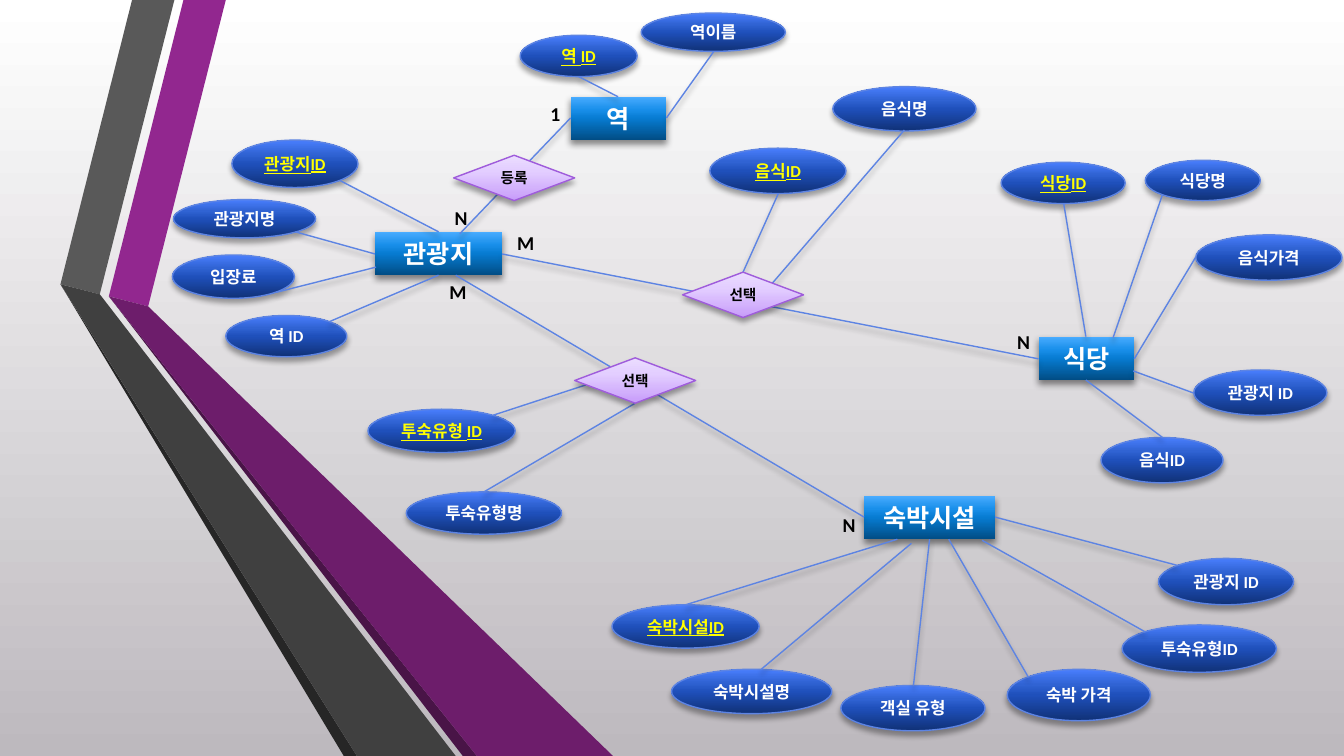
from lxml import etree
from pptx import Presentation
from pptx.dml.color import RGBColor
from pptx.enum.shapes import MSO_CONNECTOR, MSO_SHAPE
from pptx.enum.text import MSO_ANCHOR, MSO_AUTO_SIZE, PP_ALIGN
from pptx.oxml.ns import qn
from pptx.util import Cm, Pt

STRAIGHT = MSO_CONNECTOR.STRAIGHT
ELLIPSE, RECTANGLE, DIAMOND = MSO_SHAPE.OVAL, MSO_SHAPE.RECTANGLE, MSO_SHAPE.DIAMOND
MIDDLE, CENTER, GROW = MSO_ANCHOR.MIDDLE, PP_ALIGN.CENTER, MSO_AUTO_SIZE.SHAPE_TO_FIT_TEXT

WHITE, BLACK = RGBColor(255, 255, 255), RGBColor(0, 0, 0)
YELLOW = RGBColor(255, 255, 0)
LINE_BLUE, LINE_PURPLE = RGBColor(0x5D, 0x84, 0xE3), RGBColor(0x9F, 0x5C, 0xDB)
MAGENTA, GRAY = RGBColor(0x92, 0x27, 0x8F), RGBColor(0x59, 0x59, 0x59)
NEAR_BLACK, DARK_GRAY = RGBColor(0x26, 0x26, 0x26), RGBColor(0x40, 0x40, 0x40)
DEEP_PLUM, PLUM = RGBColor(0x49, 0x14, 0x47), RGBColor(0x6D, 0x1D, 0x6B)

# Gradient stops: position in percent, colour
PAGE_STOPS = [(0, WHITE), (100, RGBColor(0xBD, 0xB9, 0xBE))]
ATTRIBUTE_STOPS = [(0, RGBColor(0x10, 0x31, 0x77)), (50, RGBColor(0x1F, 0x50, 0xBB)),
                   (70, RGBColor(0x30, 0x63, 0xD3)), (100, RGBColor(0x49, 0x7E, 0xFD))]
ENTITY_STOPS = [(0, RGBColor(0x01, 0x4D, 0x85)), (50, RGBColor(0x07, 0x7B, 0xD1)),
                (70, RGBColor(0x19, 0x8F, 0xEA)), (100, RGBColor(0x49, 0xAC, 0xFF))]
RELATION_STOPS = [(0, RGBColor(0xC7, 0x9C, 0xFA)), (65, RGBColor(0xE3, 0xCE, 0xFF)),
                  (100, RGBColor(0xEB, 0xDD, 0xFF))]

# All places below are in units of 2.54 cm
UNIT = 2.54
PAGE_WIDTH, PAGE_HEIGHT = 13.33, 7.5
ENTITY_HEIGHT, LABEL_HEIGHT = 0.43, 0.34
RELATION_SIZE = (1.2, 0.45)
LABEL_WIDTHS = {"1": 0.3, "N": 0.33, "M": 0.37}

RIBBONS = [
    (MAGENTA, [(1.08, 2.94), (1.47, 3.04), (2.24, 0), (1.82, 0)]),
    (GRAY, [(0.99, 2.92), (1.73, 0), (1.31, 0), (0.6, 2.82)]),
    (NEAR_BLACK, [(0.6, 2.82), (3.41, 7.5), (3.54, 7.5)]),
    (DEEP_PLUM, [(4.73, 7.5), (1.08, 2.94), (4.59, 7.5)]),
    (PLUM, [(1.08, 2.94), (4.73, 7.5), (6.08, 7.5), (1.47, 3.04)]),
    (DARK_GRAY, [(4.52, 7.5), (1.06, 3.01), (0.99, 2.92), (0.6, 2.82), (3.54, 7.5)]),
]
ENTITIES = [("관광지", 3.72, 2.3, 1.26), ("역", 5.66, 0.96, 0.95),
            ("식당", 10.3, 3.34, 0.95), ("숙박시설", 8.57, 4.92, 1.3)]
KEY_ATTRIBUTES = [
    ("역 ID", 5.16, 0.35, 1.16, 0.41), ("관광지ID", 2.3, 1.39, 1.25, 0.47),
    ("음식ID", 7.04, 1.47, 1.35, 0.45), ("식당ID", 9.93, 1.61, 1.23, 0.41),
    ("투숙유형 ID", 3.65, 4.06, 1.46, 0.43), ("숙박시설ID", 6.07, 6, 1.46, 0.43),
]
ATTRIBUTES = [
    ("역이름", 6.36, 0.13, 1.43, 0.38), ("관광지명", 1.72, 1.98, 1.41, 0.38),
    ("입장료", 1.71, 2.53, 1.21, 0.43), ("역 ID", 2.24, 3.13, 1.2, 0.41),
    ("투숙유형명", 4.03, 4.88, 1.54, 0.42), ("식당명", 11.36, 1.59, 1.14, 0.4),
    ("음식가격", 11.86, 2.33, 1.45, 0.45), ("숙박시설명", 6.66, 6.64, 1.59, 0.44),
    ("관광지 ID", 11.49, 5.54, 1.34, 0.46), ("숙박 가격", 9.99, 6.64, 1.42, 0.51),
    ("투숙유형ID", 11.13, 6.2, 1.53, 0.47), ("음식ID", 10.92, 4.34, 1.21, 0.45),
    ("음식명", 8.26, 0.86, 1.42, 0.44), ("관광지 ID", 11.84, 3.67, 1.32, 0.45),
    ("객실 유형", 8.34, 6.8, 1.43, 0.45),
]
RELATIONS = [("등록", 4.5, 1.54), ("선택", 6.77, 2.7), ("선택", 5.7, 3.55)]
LABELS = [("1", 5.36, 0.96), ("N", 4.41, 1.99), ("M", 4.36, 2.73),
          ("N", 8.26, 5.04), ("M", 5.03, 2.24), ("N", 9.99, 3.22)]
LINKS = [
    # station
    (5.74, 0.76, 6.13, 0.96), (7.08, 0.51, 6.61, 1.17),
    # tourist site
    (3.37, 1.79, 4.35, 2.3), (2.93, 2.3, 3.72, 2.52),
    (2.74, 2.9, 3.73, 2.65), (3.27, 3.19, 4.35, 2.73),
    # restaurant
    (10.77, 3.34, 10.55, 2.02), (11.04, 3.35, 11.53, 1.93), (11.24, 3.68, 11.84, 3.9),
    (10.77, 3.77, 11.53, 4.34), (11.25, 3.56, 11.86, 2.55),
    # lodging
    (8.9, 5.35, 6.8, 6), (9.04, 5.39, 7.55, 6.64), (9.87, 5.13, 11.68, 5.61),
    (9.74, 5.36, 11.36, 6.27), (9.41, 5.35, 10.2, 6.72), (9.22, 5.35, 9.06, 6.8),
    # attributes of the relations
    (7.37, 2.7, 7.72, 1.92), (7.66, 2.81, 8.97, 1.29),
    (6.42, 3.62, 4.89, 4.12), (6.3, 4, 4.8, 4.88),
    # between entities
    (5.66, 1.17, 4.56, 2.32), (10.3, 3.56, 4.98, 2.52), (8.57, 5.13, 4.52, 2.73),
]

SOFT_SHADOW, STRONG_SHADOW = (35, 4), (45, 5)  # opacity in percent, blur in points
ATTRIBUTE = dict(kind=ELLIPSE, stops=ATTRIBUTE_STOPS, line=LINE_BLUE, shadow=SOFT_SHADOW,
                 font=dict(size=Pt(12)), color=WHITE)
KEY_ATTRIBUTE = dict(ATTRIBUTE, font=dict(size=Pt(12), underline=True), color=YELLOW)
ENTITY = dict(kind=RECTANGLE, stops=ENTITY_STOPS, line=None, shadow=STRONG_SHADOW,
              font=dict(size=Pt(18)), color=WHITE)
RELATION = dict(kind=DIAMOND, stops=RELATION_STOPS, line=LINE_PURPLE, shadow=SOFT_SHADOW,
                font=dict(size=Pt(10.5)), color=BLACK)


def lengths(*values):
    return [Cm(value * UNIT) for value in values]


def paint_gradient(fill, element, stops, angle):
    fill.gradient()
    fill.gradient_angle = angle
    stop_list = next(element.iter(qn("a:gsLst")))
    for old_stop in list(stop_list):
        stop_list.remove(old_stop)
    for position, color in stops:
        stop = etree.SubElement(stop_list, qn("a:gs"), pos=str(position * 1000))
        etree.SubElement(stop, qn("a:srgbClr"), val=str(color))


def add_shadow(shape, opacity, blur):
    effects = etree.SubElement(shape._element.spPr, qn("a:effectLst"))
    outer = etree.SubElement(effects, qn("a:outerShdw"), blurRad=str(Pt(blur)),
                             dist=str(Pt(3)), dir="5400000", rotWithShape="0")
    color = etree.SubElement(outer, qn("a:srgbClr"), val=str(BLACK))
    etree.SubElement(color, qn("a:alpha"), val=str(opacity * 1000))


def write(frame, text, font, color):
    para = frame.paragraphs[0]
    span = para.add_run()
    span.text = text
    for name, value in dict(name="Calibri", bold=True, **font).items():
        setattr(span.font, name, value)
    span.font.color.rgb = color
    return para


def add_node(page, text, place, style):
    shape = page.shapes.add_shape(style["kind"], *lengths(*place))
    paint_gradient(shape.fill, shape._element, style["stops"], 90)
    if style["line"] is None:
        shape.line.fill.background()
    else:
        shape.line.color.rgb = style["line"]
        shape.line.width = Pt(1)
    add_shadow(shape, *style["shadow"])
    frame = shape.text_frame
    frame.word_wrap, frame.vertical_anchor = True, MIDDLE
    write(frame, text, style["font"], style["color"]).alignment = CENTER


deck = Presentation()
deck.slide_width, deck.slide_height = lengths(PAGE_WIDTH, PAGE_HEIGHT)
page = deck.slides.add_slide(deck.slide_layouts[6])
paint_gradient(page.background.fill, page._element, PAGE_STOPS, 270)

# Folded ribbons on the left
for color, corners in RIBBONS:
    points = [lengths(*corner) for corner in corners]
    builder = page.shapes.build_freeform(*points[0])
    builder.add_line_segments(points[1:], close=True)
    ribbon = builder.convert_to_shape()
    ribbon.shadow.inherit = False
    ribbon.fill.solid()
    ribbon.fill.fore_color.rgb = color
    ribbon.line.fill.background()

# Attributes and entities
for nodes, style in ((KEY_ATTRIBUTES, KEY_ATTRIBUTE), (ATTRIBUTES, ATTRIBUTE)):
    for text, *place in nodes:
        add_node(page, text, place, style)
for text, *place in ENTITIES:
    add_node(page, text, (*place, ENTITY_HEIGHT), ENTITY)

# Links
for ends in LINKS:
    link = page.shapes.add_connector(STRAIGHT, *lengths(*ends))
    link.line.color.rgb = LINE_BLUE
    link.line.width = Pt(1)
    add_shadow(link, *SOFT_SHADOW)

# Relations lie over the links
for text, *place in RELATIONS:
    add_node(page, text, (*place, *RELATION_SIZE), RELATION)

# Cardinality labels
for text, left, top in LABELS:
    box = page.shapes.add_textbox(*lengths(left, top, LABEL_WIDTHS[text], LABEL_HEIGHT))
    box.text_frame.word_wrap = False
    box.text_frame.auto_size = GROW
    write(box.text_frame, text, dict(size=Pt(14)), BLACK)

deck.save("out.pptx")
